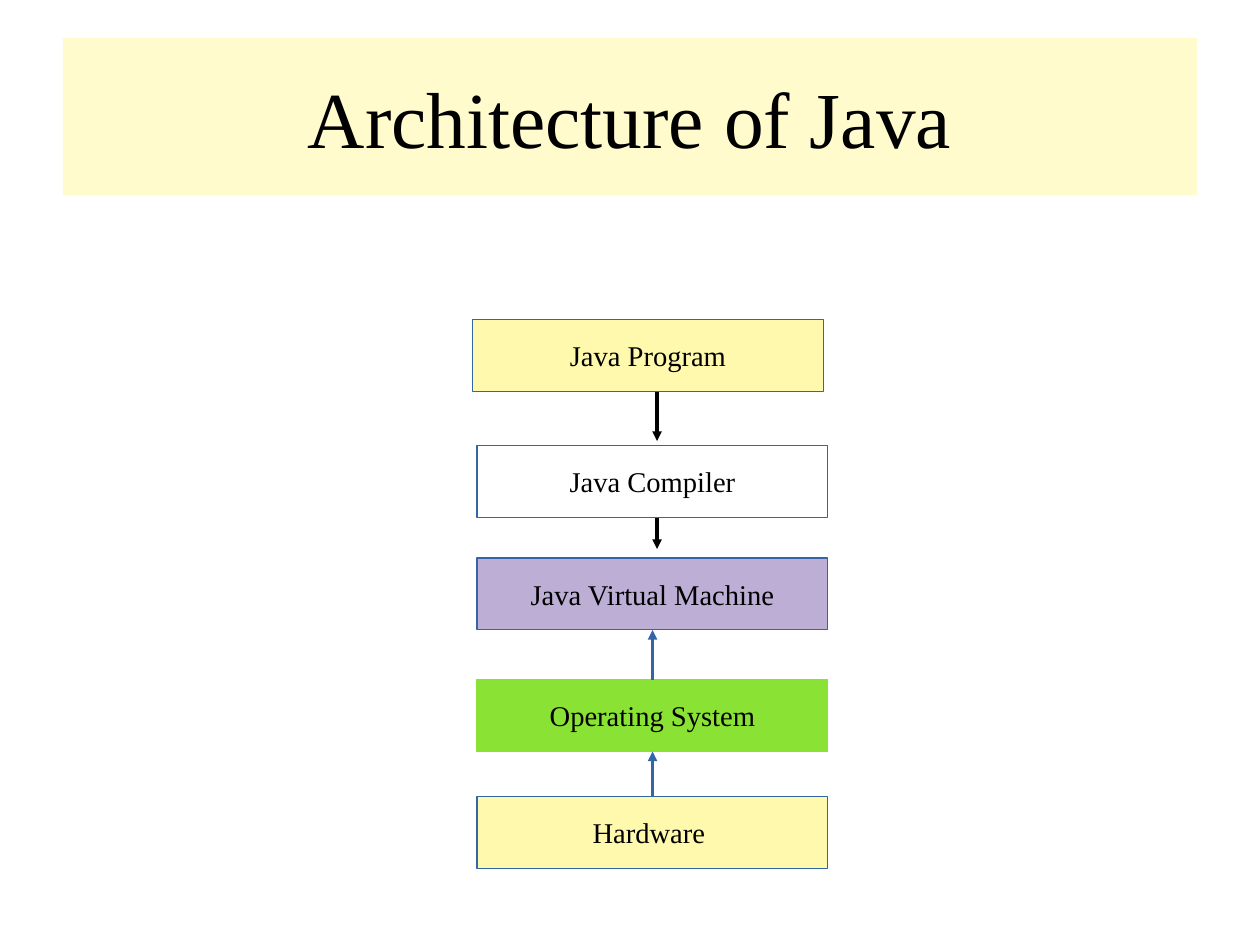
import pptx
import pptx.util
import pptx.dml.color
import pptx.enum.shapes
import pptx.enum.text
import pptx.oxml
import pptx.oxml.ns
from pptx.util import Cm

BLACK, BLUE, GREEN = "000000", "3465A4", "8AE234"
YELLOW, CREAM, LILAC, WHITE = "FFF9AE", "FFFBCC", "BCAED5", "FFFFFF"


def color(code):
    return pptx.dml.color.RGBColor.from_string(code)


class Deck:
    font = "Times New Roman"
    wide, high = Cm(7.8), Cm(1.6)

    def __init__(self, show):
        self.slide = show.slides.add_slide(show.slide_layouts[5])

    def paint(self, shape, fill):
        shape.fill.solid()
        shape.fill.fore_color.rgb = color(fill)

    def label(self, shape, text, size, pads, wrap):
        frame = shape.text_frame
        frame.auto_size = pptx.enum.text.MSO_AUTO_SIZE.NONE
        frame.word_wrap = wrap
        frame.vertical_anchor = pptx.enum.text.MSO_ANCHOR.MIDDLE
        frame.margin_left = frame.margin_right = pads[0]
        frame.margin_top = frame.margin_bottom = pads[1]
        para = frame.paragraphs[0]
        para.alignment = pptx.enum.text.PP_ALIGN.CENTER
        run = para.add_run()
        run.text = text
        run.font.name = self.font
        run.font.size = pptx.util.Pt(size)
        run.font.color.rgb = color(BLACK)

    def title(self, text):
        head = self.slide.shapes.title
        head.left, head.top = Cm(1.4), Cm(0.84)
        head.width, head.height = Cm(25.2), Cm(3.5)
        self.paint(head, CREAM)
        self.label(head, text, 50, (0, 0), True)

    def box(self, text, left, top, fill, edge):
        kind = pptx.enum.shapes.MSO_SHAPE.RECTANGLE
        box = self.slide.shapes.add_shape(
            kind, Cm(left), Cm(top), self.wide, self.high)
        box.shadow.inherit = False
        self.paint(box, fill)
        box.line.color.rgb = color(edge)
        box.line.width = 0
        self.label(box, text, 18, (Cm(0.25), Cm(0.13)), False)
        return box

    def arrow(self, x, start, end, edge):
        kind = pptx.enum.shapes.MSO_CONNECTOR.STRAIGHT
        arrow = self.slide.shapes.add_connector(kind, x, start, x, end)
        arrow.line.color.rgb = color(edge)
        arrow.line.width = 0
        names = pptx.oxml.ns.nsdecls("a")
        props = arrow.element.spPr
        props.find(pptx.oxml.ns.qn("a:ln")).append(
            pptx.oxml.parse_xml(f'<a:tailEnd {names} type="triangle"/>'))
        props.append(pptx.oxml.parse_xml(f"<a:effectLst {names}/>"))
        return arrow

    def rise(self, low, high):
        # Glue the arrow from the lower box's top to the upper box's bottom
        mid = low.left + low.width // 2
        arrow = self.arrow(mid, low.top, high.top + high.height, BLUE)
        arrow.begin_connect(low, 0)
        arrow.end_connect(high, 2)


show = pptx.Presentation()
show.slide_width, show.slide_height = Cm(28), Cm(21)
deck = Deck(show)
deck.title("Architecture of Java")

# Layers, from the bottom up
layers = [
    ("Hardware ", 10.6, 17.7, YELLOW, BLUE),
    ("Operating System", 10.6, 15.1, GREEN, GREEN),
    ("Java Virtual Machine", 10.6, 12.4, LILAC, BLUE),
    ("Java Compiler", 10.6, 9.9, WHITE, BLUE),
    ("Java Program", 10.5, 7.1, YELLOW, BLUE),
]
metal, system, engine, tool, code = [deck.box(*layer) for layer in layers]

# Downward flow from the program to the virtual machine
for box, end in ((code, 9.8), (tool, 12.2)):
    deck.arrow(Cm(14.6), box.top + box.height, Cm(end), BLACK)

# Upward support from the hardware to the virtual machine
for low, high in ((system, engine), (metal, system)):
    deck.rise(low, high)

show.save("out.pptx")
